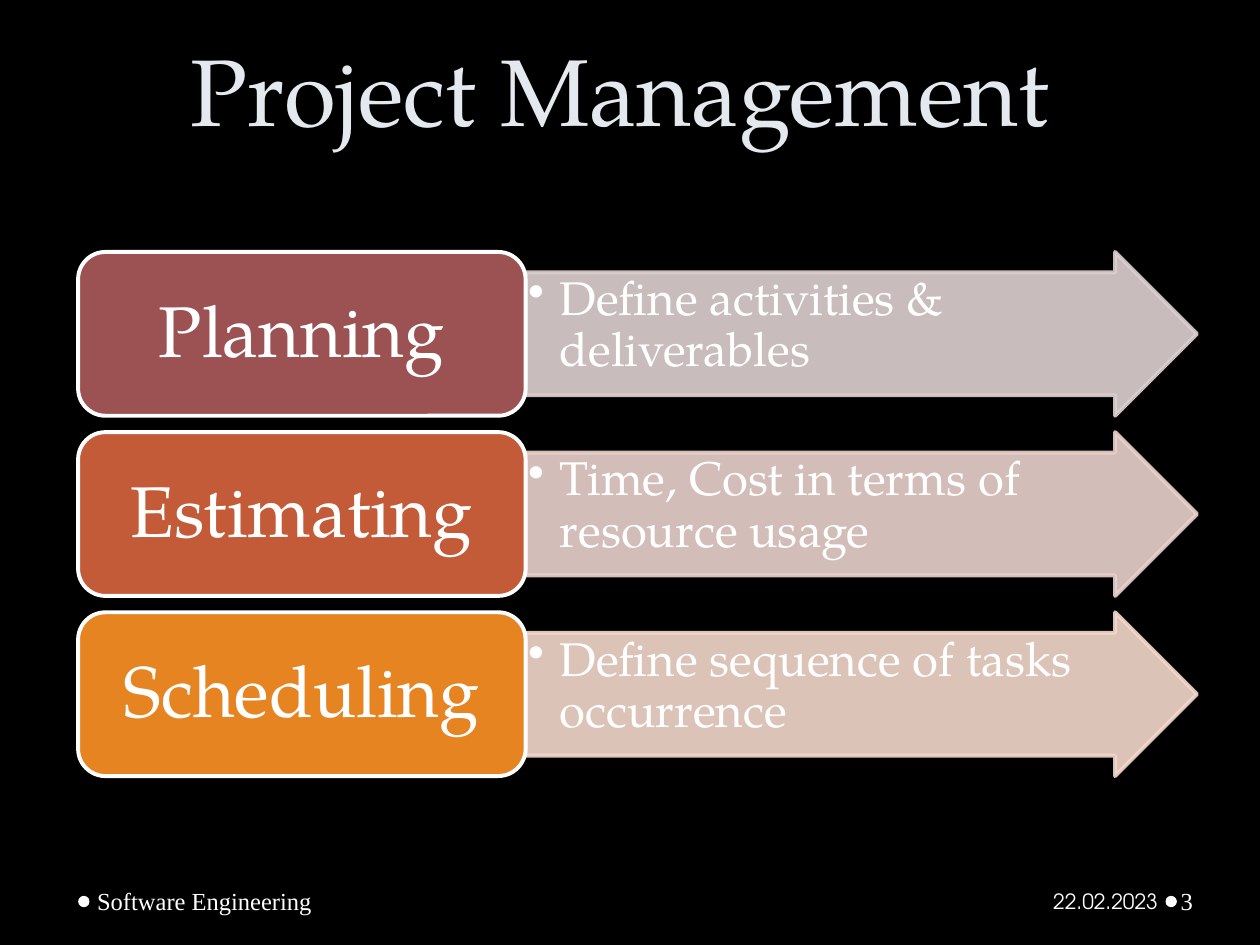
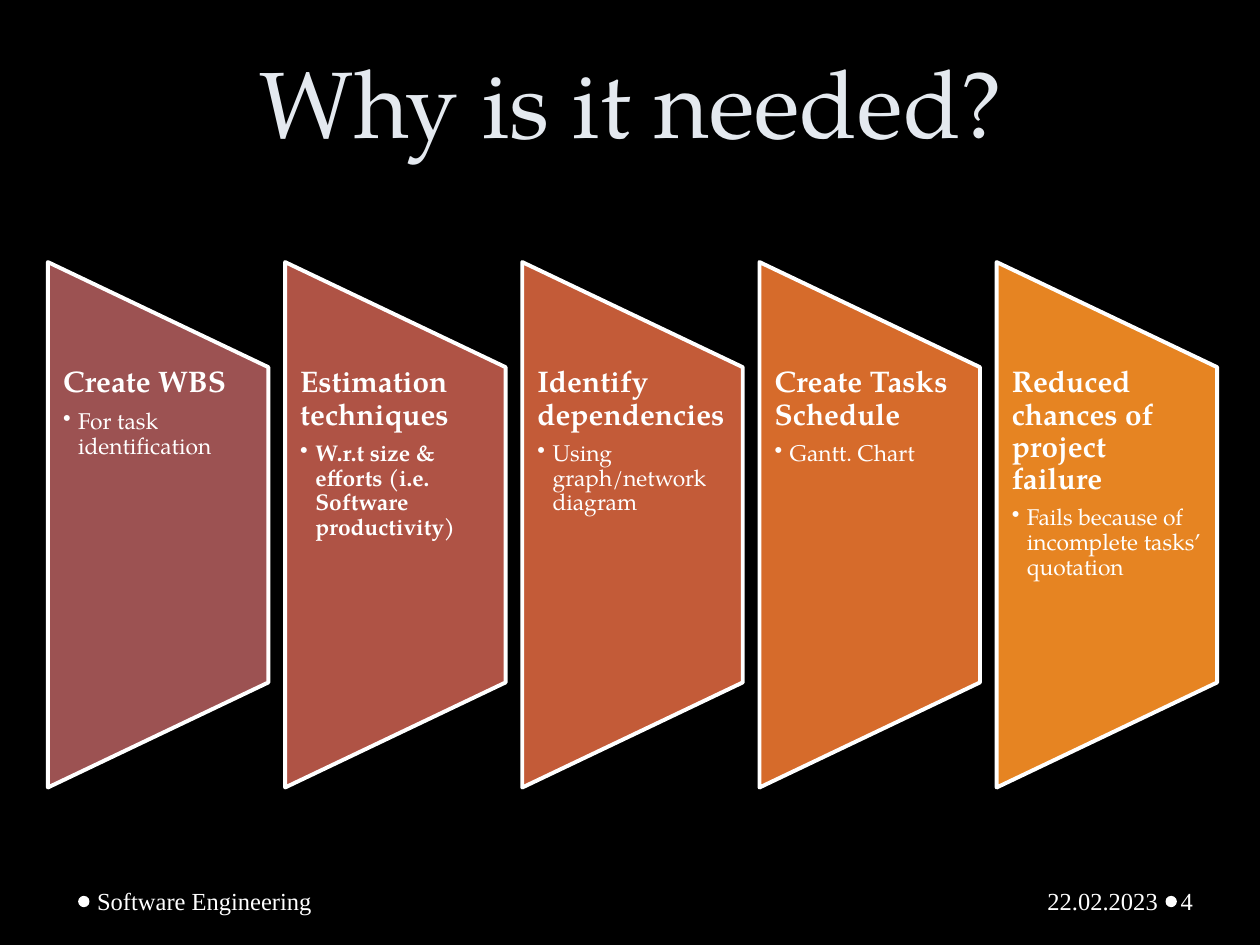
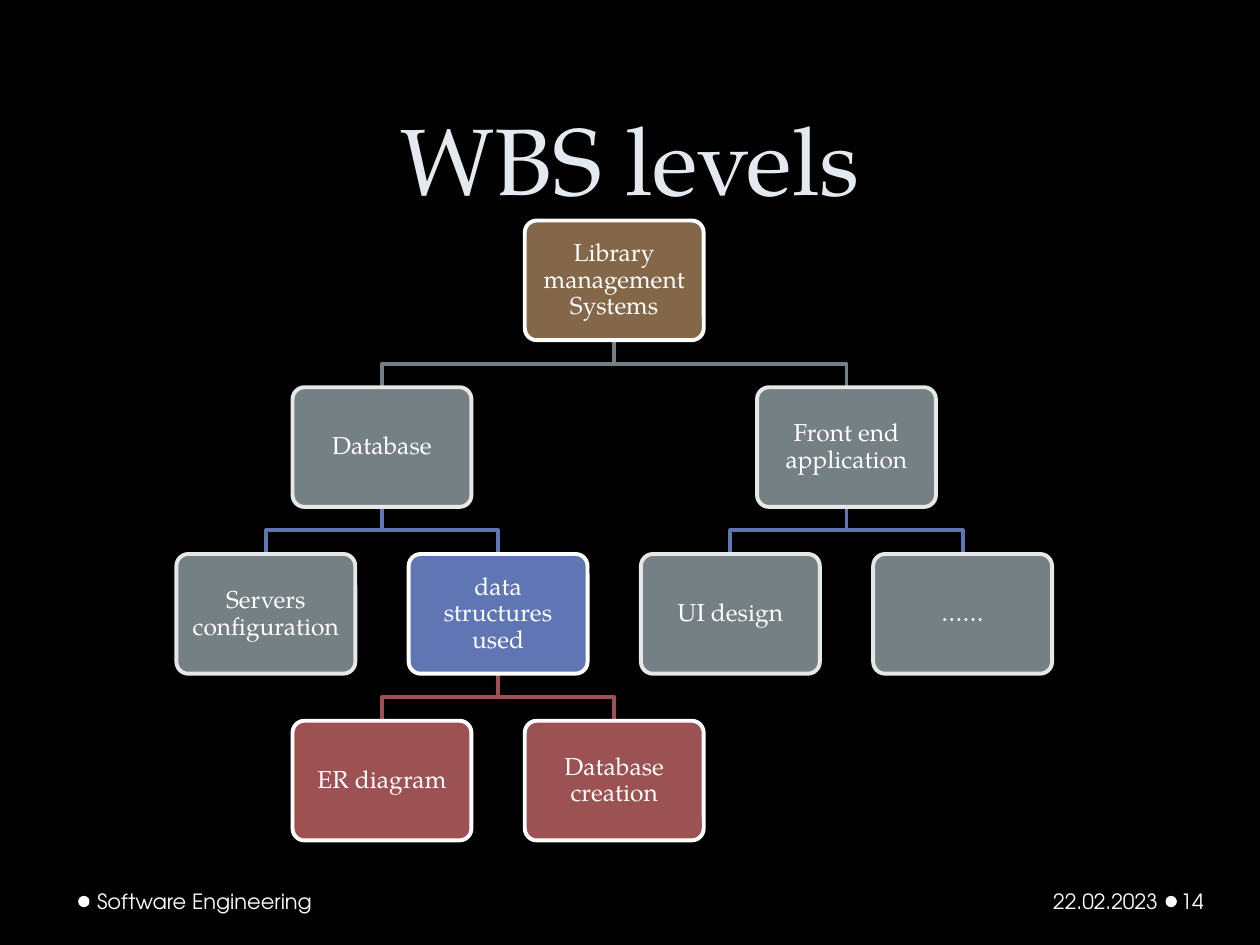
from collections import namedtuple

from lxml import etree
from pptx import Presentation
from pptx.dml.color import RGBColor
from pptx.enum.shapes import MSO_SHAPE as Shape
from pptx.enum.text import MSO_ANCHOR as Anchor, PP_ALIGN as Align
from pptx.oxml.ns import qn
from pptx.util import Inches, Pt

BLACK, WHITE, TITLE_TINT = "000000", "FFFFFF", "E4E9EF"
WINE, BRICK, RUST, COPPER, ORANGE = "9C5252", "AF5345", "C35B38", "D66B2B", "E68422"
BROWN, SLATE, BLUE, PALE = "846648", "758085", "6076B4", "E7E7E7"
SERIF, ROMAN, SANS = "TeX Gyre Pagella", "Times New Roman", "TeX Gyre Adventor"
ROMAN_FOOTER, SANS_FOOTER = (ROMAN, 14), (SANS, 12)
GRID_COLS, GRID_ROWS, GRID_UNIT = 100, 75, 0.1
OUTLINE = 2.25


class Box(namedtuple("Box", "x y w h")):
    """A rectangle in inches."""

    def share(self, x, y, w, h):
        """Return an inner box given as shares of this one."""
        return Box(self.x + x * self.w, self.y + y * self.h, w * self.w, h * self.h)

    def slot(self, col, row, cols, rows, w, h):
        """Return a box of a fixed size on an evenly spread grid."""
        step_x = (self.w - w) / max(cols - 1, 1)
        step_y = (self.h - h) / max(rows - 1, 1)
        return Box(self.x + col * step_x, self.y + row * step_y, w, h)

    def turned(self):
        """Return the box that covers this one after a quarter turn."""
        return Box(self.x + (self.w - self.h) / 2, self.y + (self.h - self.w) / 2,
                   self.h, self.w)

    def emu(self):
        """Return the four lengths for python-pptx."""
        return [Inches(length) for length in self]


def area(col, row, cols, rows):
    """Return a box from columns and rows of the slide grid."""
    return Box(*(cells * GRID_UNIT for cells in (col, row, cols, rows)))


def rgb(code):
    """Turn a hex string into a colour."""
    return RGBColor.from_string(code)


def set_frame(shape, insets, anchor=Anchor.TOP):
    """Set wrapping, margins and anchor, and return the text frame."""
    frame = shape.text_frame
    frame.word_wrap = True
    frame.vertical_anchor = anchor
    (frame.margin_left, frame.margin_top,
     frame.margin_right, frame.margin_bottom) = [Inches(inset) for inset in insets]
    return frame


def write(paragraph, words, size, font=SERIF, color=WHITE, bold=False,
          align=Align.LEFT, spacing=None, after=0, indent=0):
    """Fill a paragraph with one run, bulleted when it has an indent."""
    if indent:
        properties = paragraph._p.get_or_add_pPr()
        properties.set("marL", str(Inches(indent)))
        properties.set("indent", str(-Inches(indent)))
        etree.SubElement(properties, qn("a:buChar")).set("char", "•")
    paragraph.alignment = align
    paragraph.space_after = Pt(after)
    if spacing:
        paragraph.line_spacing = spacing
    run = paragraph.add_run()
    run.text = words
    run.font.name, run.font.size, run.font.bold = font, Pt(size), bold
    run.font.color.rgb = rgb(color)


def add_text(slide, box, insets, anchor=Anchor.TOP):
    """Add a text box and return its frame."""
    return set_frame(slide.shapes.add_textbox(*box.emu()), insets, anchor)


def add_figure(slide, kind, box, fill, line=None, alpha=None):
    """Add a flat preset shape, see-through when alpha is given."""
    figure = slide.shapes.add_shape(kind, *box.emu())
    figure.shadow.inherit = False
    figure.fill.solid()
    figure.fill.fore_color.rgb = rgb(fill)
    if line:
        figure.line.color.rgb = rgb(line)
        figure.line.width = Pt(OUTLINE)
    else:
        figure.line.fill.background()
    if alpha:
        for color in figure._element.spPr.iter(qn("a:srgbClr")):
            etree.SubElement(color, qn("a:alpha")).set("val", str(alpha * 1000))
    return figure


def add_footer(slide, number, label_style, date_style):
    """Draw the footer dots, the course, the date and the slide number."""
    for col in (6.2, 92.5):
        add_figure(slide, Shape.OVAL, area(col, 71.1, 0.9, 0.9), WHITE)
    entries = [
        ("Software Engineering", 7.2, 31.1, (0.05, 0.05, 0.1, 0.05), Align.LEFT, label_style),
        ("22.02.2023", 69.6, 22.8, (0.1, 0.05, 0.05, 0.05), Align.RIGHT, date_style),
        (str(number), 93.4, 6.1, (0.03, 0.05, 0.05, 0.05), Align.LEFT, label_style),
    ]
    for words, col, cols, insets, align, (font, size) in entries:
        frame = add_text(slide, area(col, 69.5, cols, 4), insets, Anchor.MIDDLE)
        write(frame.paragraphs[0], words, size, font, align=align)


def start_slide(deck, heading, heading_box, number, label_style, date_style):
    """Add a black slide with its title and footer."""
    slide = deck.slides.add_slide(deck.slide_layouts[6])
    slide.background.fill.solid()
    slide.background.fill.fore_color.rgb = rgb(BLACK)
    frame = add_text(slide, heading_box, (0.1, 0.05, 0.1, 0.05), Anchor.BOTTOM)
    write(frame.paragraphs[0], heading, 54, color=TITLE_TINT,
          align=Align.CENTER, spacing=Pt(58))
    add_footer(slide, number, label_style, date_style)
    return slide


def add_phases(slide, region, phases):
    """Stack phases, each a named block with an arrow that explains it."""
    for row, (name, goal, fill, tint) in enumerate(phases):
        band = region.slot(0, row, 1, len(phases), region.w, 1.3)
        arrow = add_figure(slide, Shape.RIGHT_ARROW, band.share(0.4, 0, 0.6, 1),
                           tint, tint, alpha=90)
        arrow.adjustments[0], arrow.adjustments[1] = 0.75, 0.5
        frame = set_frame(arrow, (0.02, 0.02, 0.35, 0.02))
        write(frame.paragraphs[0], goal, 27, spacing=0.9, indent=0.25)
        block = add_figure(slide, Shape.ROUNDED_RECTANGLE, band.share(0, 0, 0.4, 1), fill, WHITE)
        frame = set_frame(block, (0.17, 0.09, 0.17, 0.09), Anchor.MIDDLE)
        write(frame.paragraphs[0], name, 41, align=Align.CENTER, spacing=0.9)


def add_reasons(slide, region, reasons):
    """Set reasons side by side on panels that narrow to the right."""
    for col, (reason, detail, fill, bold) in enumerate(reasons):
        panel = region.slot(col, 0, len(reasons), 1, 1.75, region.h)
        figure = add_figure(slide, Shape.FLOWCHART_MANUAL_OPERATION, panel.turned(), fill, WHITE)
        figure.rotation = 270
        frame = add_text(slide, panel.share(0, 0.2, 1, 0.6), (0.12, 0, 0.12, 0))
        write(frame.paragraphs[0], reason, 17, bold=True, spacing=0.9, after=6)
        write(frame.add_paragraph(), detail, 13, bold=bold, spacing=0.9, indent=0.12)


def add_branch(slide, parent, child, color):
    """Draw a stepped line from the foot of a parent to the top of a child."""
    start_x, end_x = parent.x + parent.w / 2, child.x + child.w / 2
    start_y, end_y = parent.y + parent.h, child.y
    middle = (start_y + end_y) / 2
    outline = slide.shapes.build_freeform(Inches(start_x), Inches(start_y))
    corners = [(start_x, middle), (end_x, middle), (end_x, end_y)]
    outline.add_line_segments([(Inches(x), Inches(y)) for x, y in corners], close=False)
    branch = outline.convert_to_shape()
    branch.shadow.inherit = False
    branch.fill.background()
    branch.line.color.rgb = rgb(color)
    branch.line.width = Pt(OUTLINE)


def add_tree(slide, region, nodes, branch_colors):
    """Draw a tree of nodes placed by half columns and levels."""
    boxes = {name: region.slot(col, level, 7, 4, 1.42, 0.95)
             for name, _, col, level, _, _ in nodes}
    for name, parent, _, level, _, _ in nodes:
        if parent:
            add_branch(slide, boxes[parent], boxes[name], branch_colors[level - 1])
    for name, _, _, _, fill, line in nodes:
        node = add_figure(slide, Shape.ROUNDED_RECTANGLE, boxes[name], fill, line)
        node.adjustments[0] = 0.1
        frame = set_frame(node, (0.06, 0.06, 0.06, 0.06), Anchor.MIDDLE)
        write(frame.paragraphs[0], name, 14, align=Align.CENTER, spacing=0.9)


def build_management(deck):
    """Build the slide on the phases of project management."""
    slide = start_slide(deck, "Project Management", area(4.2, 1.2, 90, 10.8),
                        3, ROMAN_FOOTER, SANS_FOOTER)
    add_phases(slide, area(6.2, 20, 88.8, 41.6), [
        ("Planning", "Define activities & deliverables", WINE, "DED1D1"),
        ("Estimating", "Time, Cost in terms of resource usage", RUST, "EBD2CD"),
        ("Scheduling", "Define sequence of tasks occurrence", ORANGE, "F5D9CC"),
    ])


def build_need(deck):
    """Build the slide on why management is needed."""
    slide = start_slide(deck, "Why is it needed?", area(5.1, 1.3, 90, 11.7),
                        4, ROMAN_FOOTER, ROMAN_FOOTER)
    add_reasons(slide, area(3.8, 20.8, 92.8, 41.7), [
        ("Create WBS", "For task identification", WINE, False),
        ("Estimation techniques", "W.r.t size & efforts (i.e. Software productivity)", BRICK, True),
        ("Identify dependencies", "Using graph/network diagram", RUST, False),
        ("Create Tasks Schedule", "Gantt. Chart", COPPER, False),
        ("Reduced chances of project failure",
         "Fails because of incomplete tasks’ quotation", ORANGE, False),
    ])


def build_levels(deck):
    """Build the slide on the levels of a work breakdown."""
    slide = start_slide(deck, "WBS levels", area(5, 0, 90, 17.5),
                        14, SANS_FOOTER, SANS_FOOTER)
    root, store, structures = "Library management Systems", "Database", "data structures used"
    front = "Front end application"
    add_tree(slide, area(14, 17.5, 69.5, 49.2), [
        (root, None, 3, 0, BROWN, WHITE),
        (store, root, 1, 1, SLATE, PALE),
        (front, root, 5, 1, SLATE, PALE),
        ("Servers configuration", store, 0, 2, SLATE, PALE),
        (structures, store, 2, 2, BLUE, WHITE),
        ("UI design", front, 4, 2, SLATE, PALE),
        ("……", front, 6, 2, SLATE, PALE),
        ("ER diagram", structures, 1, 3, WINE, WHITE),
        ("Database creation", structures, 3, 3, WINE, WHITE),
    ], [SLATE, BLUE, WINE])


def main():
    """Build and save the deck."""
    deck = Presentation()
    deck.slide_width = Inches(GRID_COLS * GRID_UNIT)
    deck.slide_height = Inches(GRID_ROWS * GRID_UNIT)
    build_management(deck)
    build_need(deck)
    build_levels(deck)
    deck.save("out.pptx")


if __name__ == "__main__":
    main()
